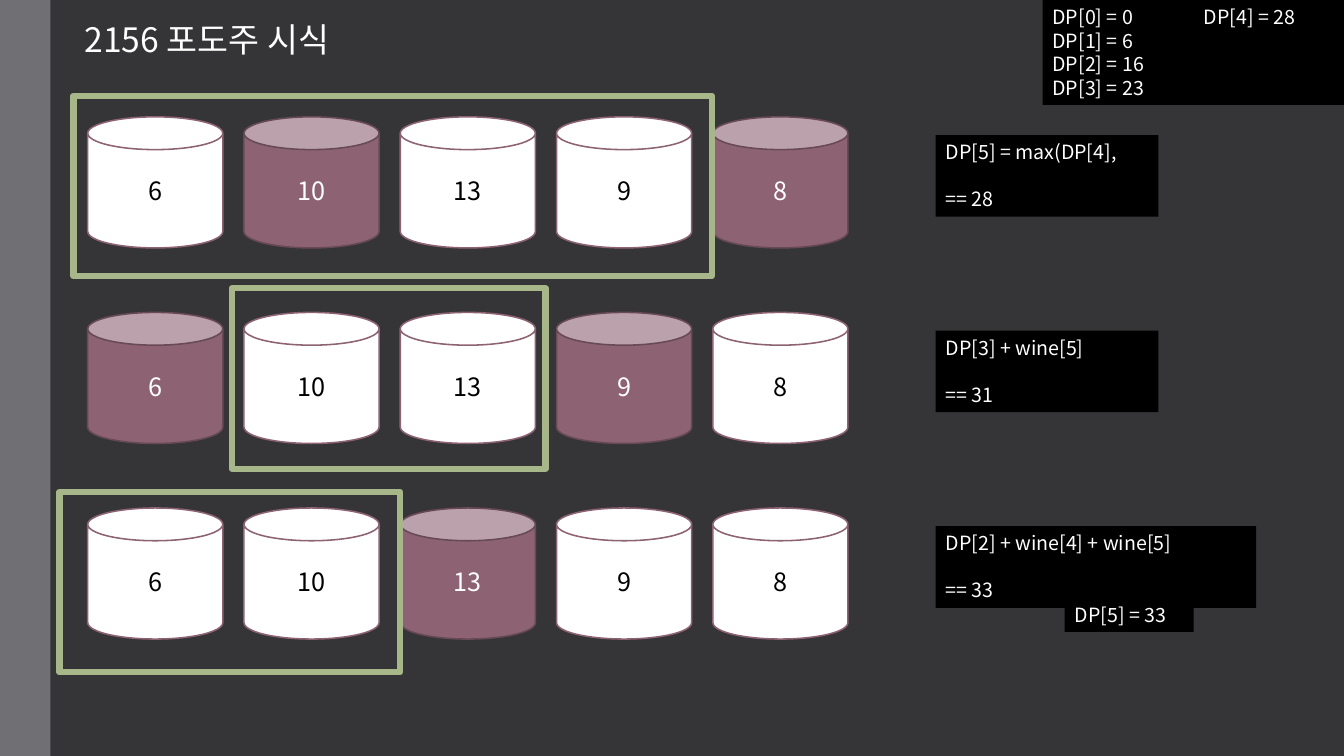
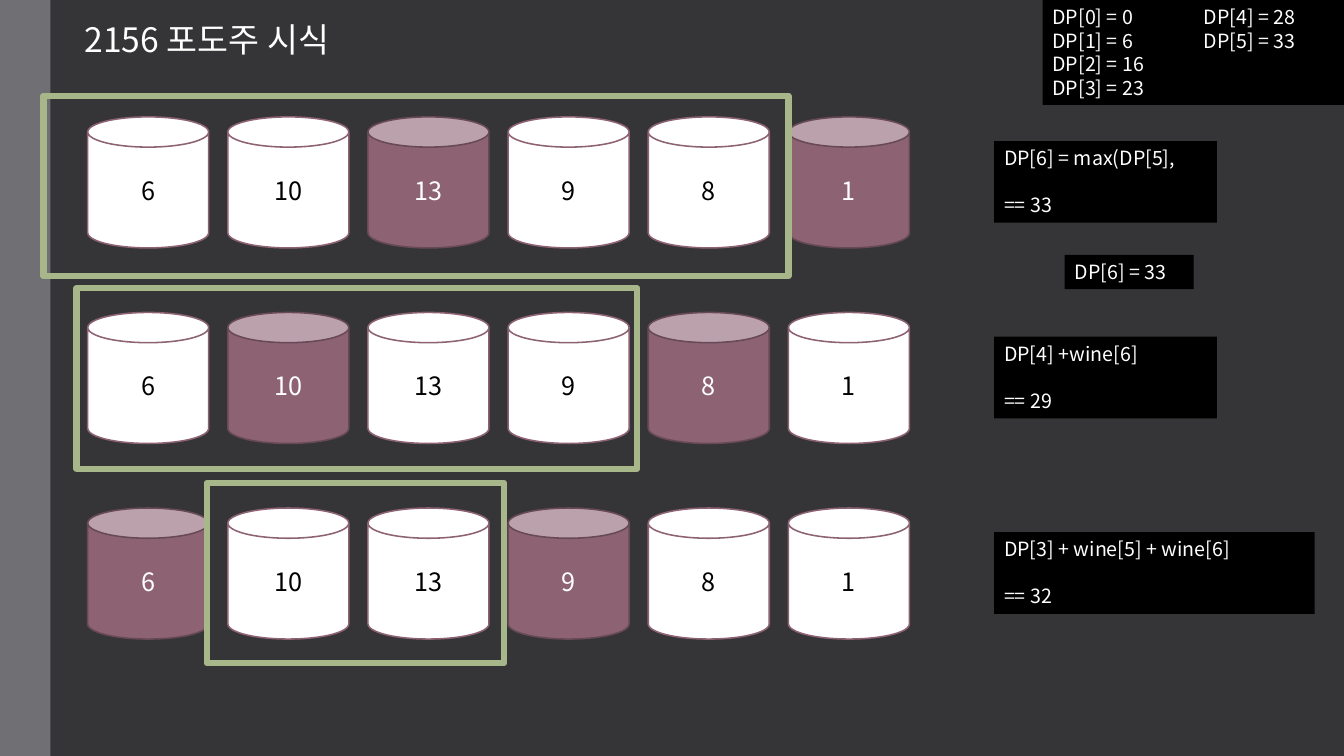
from lxml import etree
from pptx import Presentation
from pptx.dml.color import RGBColor
from pptx.enum.shapes import MSO_SHAPE
from pptx.enum.text import MSO_ANCHOR, MSO_AUTO_SIZE, PP_ALIGN
from pptx.oxml.ns import qn
from pptx.util import Emu, Pt

RECTANGLE, CAN = MSO_SHAPE.RECTANGLE, MSO_SHAPE.CAN
TOP, MIDDLE = MSO_ANCHOR.TOP, MSO_ANCHOR.MIDDLE
LEFT, CENTER = PP_ALIGN.LEFT, PP_ALIGN.CENTER
NO_AUTO_SIZE = MSO_AUTO_SIZE.NONE

EMU_PER_PX = 9144  # 100 px to the inch
SLIDE_WIDTH, SLIDE_HEIGHT = 1333, 750
TITLE_ONLY_LAYOUT = 5
FONT = "Noto Sans CJK KR"
LINE_HEIGHT = 1.2

BACKGROUND, BAND = "353537", "6F6F74"
WHITE, BLACK = "FFFFFF", "000000"
WINE, WINE_EDGE, FRAME = "8D6374", "684956", "A7B789"

TITLE = "2156 포도주 시식"
ROW_PITCH = 194
CAN_LEFT, CAN_TOP, CAN_HEIGHT = 87, 116, 130
NOTE_HEIGHT, NOTE_WIDTHS = 81, (221, 221, 318)
FRAME_HEIGHT = 179
TABLE_TAB = 150

# Each row: indexes of skipped glasses, note lines, frame (left, top, width)
SLIDES = [
    {
        "glasses": [6, 10, 13, 9, 8],
        "can_width": 134,
        "can_pitch": 155,
        "table": ["DP[0] = 0\tDP[4] = 28", "DP[1] = 6", "DP[2] = 16", "DP[3] = 23"],
        "note_origin": (928, 134),
        "rows": [
            ({1, 4}, ["DP[5] = max(DP[4],", "== 28"], (73, 95, 633)),
            ({0, 3}, ["DP[3] + wine[5]", "== 31"], (230, 286, 311)),
            ({2}, ["DP[2] + wine[4] + wine[5]", "== 33"], (59, 488, 338)),
        ],
        "result": ("DP[5] = 33", 593),
    },
    {
        "glasses": [6, 10, 13, 9, 8, 1],
        "can_width": 120,
        "can_pitch": 139,
        "table": ["DP[0] = 0\tDP[4] = 28", "DP[1] = 6\tDP[5] = 33",
                  "DP[2] = 16", "DP[3] = 23"],
        "note_origin": (986, 140),
        "rows": [
            ({2, 5}, ["DP[6] = max(DP[5],", "== 33"], (43, 95, 739)),
            ({1, 4}, ["DP[4] +wine[6]", "== 29"], (76, 286, 556)),
            ({0, 3}, ["DP[3] + wine[5] + wine[6]", "== 32"], (205, 479, 295)),
        ],
        "result": ("DP[6] = 33", 253),
    },
]


def px(length):
    return Emu(length * EMU_PER_PX)


def color(hex_string):
    return RGBColor.from_string(hex_string)


def write_text(shape, lines, size, text_color=WHITE, align=LEFT, anchor=TOP,
               gap=0, tab=None):
    """Fill a shape with one paragraph per line."""
    frame = shape.text_frame
    frame.word_wrap = True
    frame.auto_size = NO_AUTO_SIZE
    frame.vertical_anchor = anchor
    for index, line in enumerate(lines):
        paragraph = frame.add_paragraph() if index else frame.paragraphs[0]
        paragraph.alignment = align
        paragraph.line_spacing = Pt(size * LINE_HEIGHT)
        paragraph.space_before = Pt(gap if index else 0)
        run = paragraph.add_run()
        run.text = line
        run.font.size = Pt(size)
        run.font.color.rgb = color(text_color)
        run.font.name = FONT
        east_asian = etree.SubElement(run._r.get_or_add_rPr(), qn("a:ea"))
        east_asian.set("typeface", FONT)
        if tab:
            tab_list = etree.SubElement(paragraph._p.get_or_add_pPr(), qn("a:tabLst"))
            etree.SubElement(tab_list, qn("a:tab"), pos=str(px(tab)), algn="l")


def add_box(slide, kind, left, top, width, height, fill=None, line=None, line_width=1.1):
    shape = slide.shapes.add_shape(kind, px(left), px(top), px(width), px(height))
    shape.shadow.inherit = False
    if fill:
        shape.fill.solid()
        shape.fill.fore_color.rgb = color(fill)
    else:
        shape.fill.background()
    if line:
        shape.line.color.rgb = color(line)
        shape.line.width = Pt(line_width)
    else:
        shape.line.fill.background()
    return shape


def add_note(slide, left, top, width, height, lines, **text_format):
    note = add_box(slide, RECTANGLE, left, top, width, height, fill=BLACK)
    write_text(note, lines, 14, **text_format)


def add_glass(slide, left, top, width, amount, skipped):
    fill, line, text_color = (WINE, WINE_EDGE, WHITE) if skipped else (WHITE, WINE, BLACK)
    glass = add_box(slide, CAN, left, top, width, CAN_HEIGHT, fill, line)
    write_text(glass, [str(amount)], 18, text_color, CENTER, MIDDLE)


def add_title(slide):
    title = slide.shapes.title
    title.left, title.top, title.width, title.height = map(px, (74, 14, 508, 50))
    write_text(title, [TITLE], 24)


def style_master(presentation, slide):
    """Give the master its background and its side band."""
    master = presentation.slide_master
    master.background.fill.solid()
    master.background.fill.fore_color.rgb = color(BACKGROUND)
    band = add_box(slide, RECTANGLE, 0, 0, 50, SLIDE_HEIGHT, fill=BAND)
    master.shapes.element.insert(2, band.element)


def build_slide(slide, content):
    add_title(slide)

    # Known values
    add_note(slide, 1034, 0, 299, 104, content["table"], tab=TABLE_TAB)

    # Glasses and the sum for each case
    note_left, note_top = content["note_origin"]
    for row, (skipped, lines, _) in enumerate(content["rows"]):
        offset = row * ROW_PITCH
        for column, amount in enumerate(content["glasses"]):
            left = CAN_LEFT + column * content["can_pitch"]
            add_glass(slide, left, CAN_TOP + offset, content["can_width"],
                      amount, column in skipped)
        add_note(slide, note_left, note_top + offset, NOTE_WIDTHS[row], NOTE_HEIGHT,
                 lines, gap=14 * LINE_HEIGHT)

    # Result
    result, result_top = content["result"]
    add_note(slide, 1056, result_top, 128, 34, [result])

    # Frames around the glasses already counted
    for _, _, (left, top, width) in content["rows"]:
        add_box(slide, RECTANGLE, left, top, width, FRAME_HEIGHT,
                line=FRAME, line_width=4.5)


def main():
    presentation = Presentation()
    presentation.slide_width, presentation.slide_height = px(SLIDE_WIDTH), px(SLIDE_HEIGHT)
    layout = presentation.slide_layouts[TITLE_ONLY_LAYOUT]
    slides = [presentation.slides.add_slide(layout) for _ in SLIDES]
    style_master(presentation, slides[0])
    for slide, content in zip(slides, SLIDES):
        build_slide(slide, content)
    presentation.save("out.pptx")


if __name__ == "__main__":
    main()
